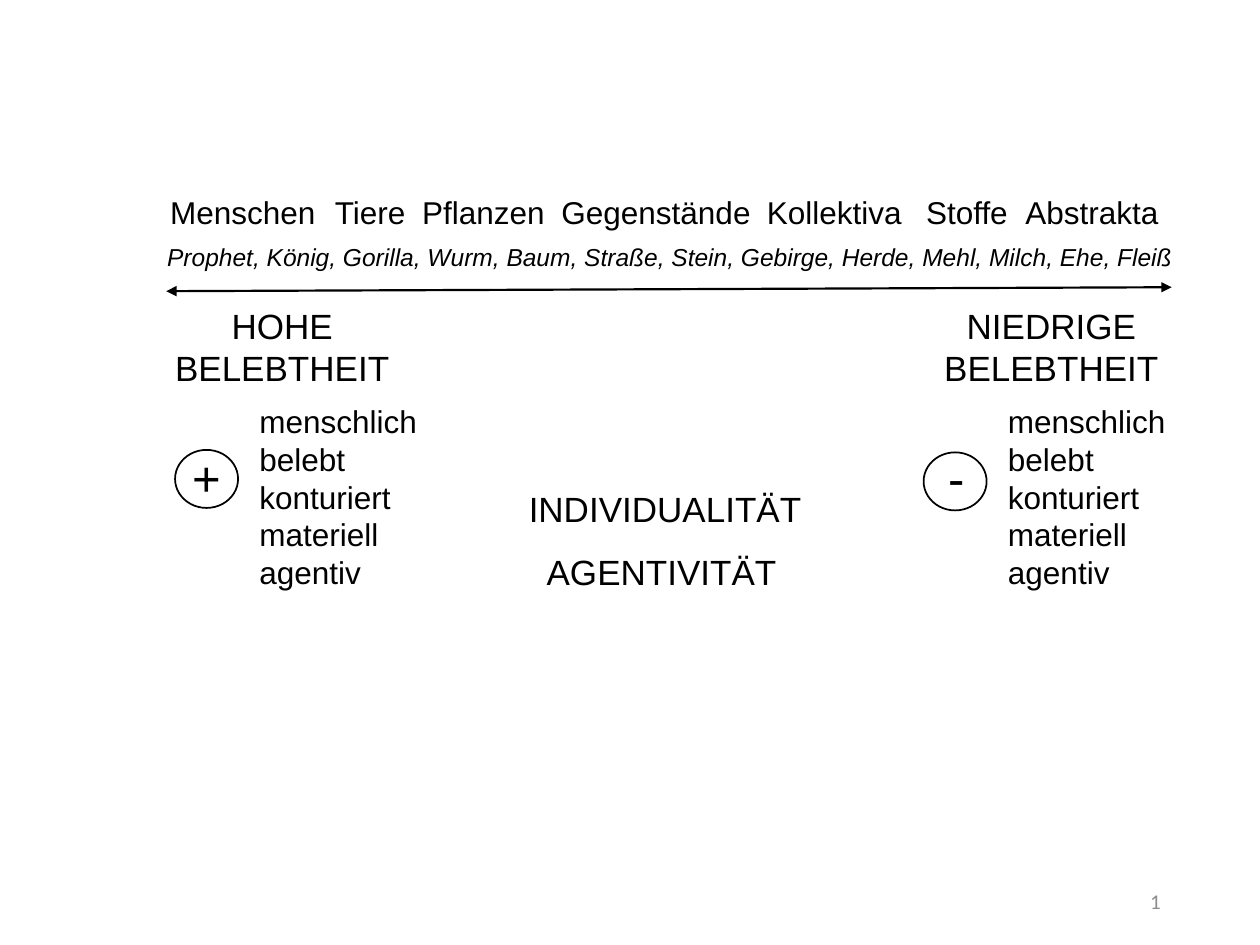
"""Build a slide showing the animacy scale from humans to abstract nouns."""
from dataclasses import dataclass

from lxml import etree
from pptx import Presentation, util as u
from pptx.dml.color import RGBColor
from pptx.enum import shapes, text
from pptx.oxml import ns


@dataclass(frozen=True)
class Theme:
    ink: str = "000000"
    muted: str = "8C8C8C"
    font: str = "Arial"
    number_font: str = "Calibri"
    number: int = 12
    example: int = 14
    body: int = 18
    heading: int = 20
    sign: int = 28
    axis_width: float = 1.25
    ring_width: float = 1


THEME = Theme()
CENTER, RIGHT = text.PP_ALIGN.CENTER, text.PP_ALIGN.RIGHT

CATEGORIES = [
    ("Menschen", 3.18, 3.45), ("Tiere", 6.5, 2.01), ("Pflanzen", 8.26, 3),
    ("Gegenstände", 11.07, 4.34), ("Kollektiva", 15.21, 3.25),
    ("Stoffe", 18.42, 2.16), ("Abstrakta", 20.42, 3.2),
]
CATEGORY_TOP, CATEGORY_HEIGHT = 3.76, 1.03
EXAMPLES = ("Prophet, König, Gorilla, Wurm, Baum, Straße, Stein, Gebirge, "
            "Herde, Mehl, Milch, Ehe, Fleiß")
AXIS = (3.35, 5.87, 23.62, 5.79)
FEATURES = ["menschlich", "belebt", "konturiert", "materiell", "agentiv"]
POLES = [
    {"heading": "HOHE\vBELEBTHEIT", "heading_box": (2.49, 6.4),
     "feature_box": (4.98, 4.37), "sign": "+", "sign_left": 3.63,
     "ring": (3.53, 9.07)},
    {"heading": "NIEDRIGE\vBELEBTHEIT", "heading_box": (17.7, 6.99),
     "feature_box": (20.07, 5.56), "sign": "-", "sign_left": 18.87,
     "ring": (18.62, 9.12)},
]
CONCEPTS = [
    ("INDIVIDUALITÄT", (10.41, 9.7, 7.54, 1.12)),
    ("AGENTIVITÄT", (10.77, 10.97, 5.99, 1.12)),
]


def cm(values):
    return [u.Cm(value) for value in values]


def set_values(target, values):
    for name, value in values.items():
        setattr(target, name, value)


def add_text(parent, content, box, size, align=None, wrap=True, grow=True,
             font=THEME.font, color=THEME.ink, italic=None):
    shape = parent.shapes.add_textbox(*cm(box))
    frame = shape.text_frame
    frame.text = content
    fit = text.MSO_AUTO_SIZE
    set_values(frame, {
        "word_wrap": wrap,
        "auto_size": fit.SHAPE_TO_FIT_TEXT if grow else fit.NONE,
        "vertical_anchor": text.MSO_ANCHOR.TOP if grow else text.MSO_ANCHOR.MIDDLE,
    })
    for paragraph in frame.paragraphs:
        paragraph.alignment = align
        for run in paragraph.runs:
            set_values(run.font, {"name": font, "size": u.Pt(size), "italic": italic})
            run.font.color.rgb = RGBColor.from_string(color)


def style_line(line, width):
    line.color.rgb = RGBColor.from_string(THEME.ink)
    line.width = u.Pt(width)


def add_axis(slide):
    axis = slide.shapes.add_connector(shapes.MSO_CONNECTOR.STRAIGHT, *cm(AXIS))
    style_line(axis.line, THEME.axis_width)
    properties = axis._element.spPr
    outline = properties.find(ns.qn("a:ln"))
    for end in ("a:headEnd", "a:tailEnd"):
        etree.SubElement(outline, ns.qn(end), type="triangle")
    etree.SubElement(properties, ns.qn("a:effectLst"))


def add_pole(slide, pole):
    left, width = pole["heading_box"]
    add_text(slide, pole["heading"], (left, 6.02, width, 1.96), THEME.heading, CENTER)
    left, width = pole["feature_box"]
    add_text(slide, "\n".join(FEATURES), (left, 7.98, width, 4.11), THEME.body)
    group = slide.shapes.add_group_shape()
    add_text(group, pole["sign"], (pole["sign_left"], 8.89, 1.37, 1.45), THEME.sign)
    ring = group.shapes.add_shape(shapes.MSO_SHAPE.OVAL, *cm((*pole["ring"], 1.27, 1.17)))
    ring.shadow.inherit = False
    ring.fill.background()
    style_line(ring.line, THEME.ring_width)


def build():
    presentation = Presentation()
    set_values(presentation, {"slide_width": u.Cm(25.4), "slide_height": u.Cm(19.05)})
    slide = presentation.slides.add_slide(presentation.slide_layouts[6])
    add_text(slide, "1", (17.93, 17.65, 5.72, 1.02), THEME.number, RIGHT, grow=False,
             font=THEME.number_font, color=THEME.muted)
    for name, left, width in CATEGORIES:
        add_text(slide, name, (left, CATEGORY_TOP, width, CATEGORY_HEIGHT),
                 THEME.body, wrap=False)
    add_text(slide, EXAMPLES, (3.12, 4.75, 21.72, 0.86), THEME.example, italic=True)
    add_axis(slide)
    for pole in POLES:
        add_pole(slide, pole)
    for concept, box in CONCEPTS:
        add_text(slide, concept, box, THEME.heading)
    presentation.save("out.pptx")


build()
